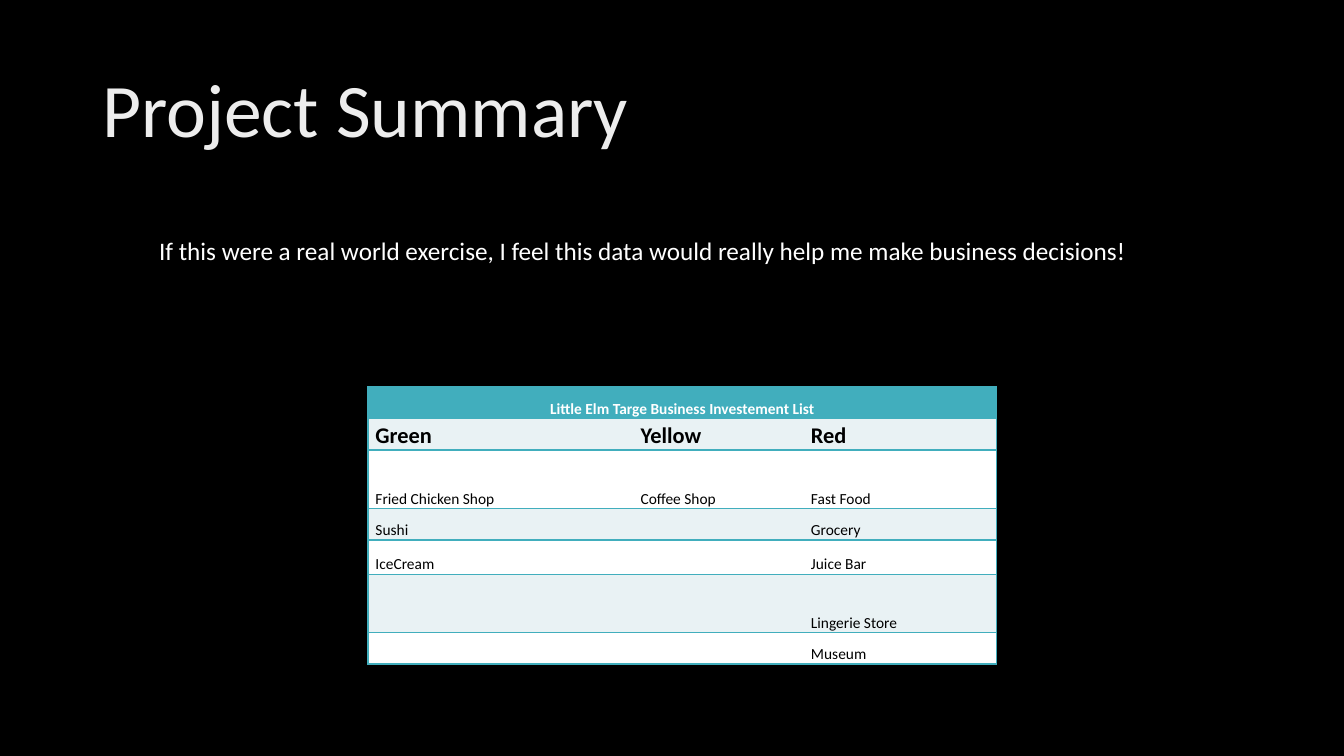
from lxml.etree import SubElement
from pptx import Presentation
from pptx.dml.color import RGBColor
from pptx.enum.text import MSO_ANCHOR, PP_ALIGN
from pptx.oxml.ns import qn
from pptx.util import Pt

BLACK = RGBColor(0x00, 0x00, 0x00)
WHITE = RGBColor(0xFF, 0xFF, 0xFF)
SILVER = RGBColor(0xED, 0xED, 0xED)
TEAL = RGBColor(0x41, 0xAE, 0xBD)
PALE = RGBColor(0xE9, 0xF2, 0xF4)

COLUMN_WIDTHS = (189.4, 121.7, 138.2)
ROW_HEIGHTS = (22.3, 22.7, 42, 22.3, 24.4, 42, 22.3)
ROWS = (
    ("Little Elm Targe Business Investement List", "", ""),
    ("Green", "Yellow", "Red"),
    ("Fried Chicken Shop", "Coffee Shop", "Fast Food"),
    ("Sushi", "", "Grocery"),
    ("IceCream", "", "Juice Bar"),
    ("", "", "Lingerie Store"),
    ("", "", "Museum"),
)


def write_text(frame, text, size, color, bold=False, align=PP_ALIGN.LEFT, spacing=1.0):
    para = frame.paragraphs[0]
    para.alignment = align
    para.line_spacing = spacing
    span = para.add_run()
    span.text = text
    span.font.name = "Calibri"
    span.font.size = Pt(size)
    span.font.bold = bold
    span.font.color.rgb = color


def add_text_box(page, text, left, top, width, height, wrap=True,
                 anchor=MSO_ANCHOR.TOP, **text_format):
    box = page.shapes.add_textbox(Pt(left), Pt(top), Pt(width), Pt(height))
    box.text_frame.word_wrap = wrap
    box.text_frame.vertical_anchor = anchor
    write_text(box.text_frame, text, **text_format)


def set_borders(cell, visible):
    """Draw the sides named in visible (of L, R, T, B) and clear the others."""
    properties = cell._tc.get_or_add_tcPr()
    for side in "LRTB":
        line = SubElement(properties, qn(f"a:ln{side}"), w=str(Pt(1)))
        if side in visible:
            fill = SubElement(line, qn("a:solidFill"))
            SubElement(fill, qn("a:srgbClr"), val=str(TEAL))
        else:
            SubElement(line, qn("a:noFill"))


def row_format(row):
    """Return the fill and the text format of a table row."""
    if row == 0:
        return TEAL, dict(size=11, color=WHITE, bold=True, align=PP_ALIGN.CENTER)
    fill = PALE if row % 2 else WHITE
    return fill, dict(size=16 if row == 1 else 11, color=BLACK, bold=row == 1)


def add_business_table(page, left, top):
    frame = page.shapes.add_table(len(ROWS), len(COLUMN_WIDTHS), Pt(left), Pt(top),
                                  Pt(sum(COLUMN_WIDTHS)), Pt(sum(ROW_HEIGHTS)))
    table = frame.table
    for column, width in zip(table.columns, COLUMN_WIDTHS):
        column.width = Pt(width)
    last = len(COLUMN_WIDTHS) - 1
    for row, (texts, height) in enumerate(zip(ROWS, ROW_HEIGHTS)):
        table.rows[row].height = Pt(height)
        fill, text_format = row_format(row)
        for column, text in enumerate(texts):
            cell = table.cell(row, column)
            cell.margin_left = cell.margin_right = Pt(5.4)
            cell.margin_top = cell.margin_bottom = 0
            cell.vertical_anchor = MSO_ANCHOR.BOTTOM
            sides = "TB" + "L" * (column == 0) + "R" * (column == last or row == 0)
            set_borders(cell, sides)
            cell.fill.solid()
            cell.fill.fore_color.rgb = fill
            if text:
                write_text(cell.text_frame, text, spacing=1.07, **text_format)
    # The heading spans the full width
    table.cell(0, 0).merge(table.cell(0, last))


def main():
    deck = Presentation()
    deck.slide_width, deck.slide_height = Pt(960), Pt(540)
    page = deck.slides.add_slide(deck.slide_layouts[6])
    page.background.fill.solid()
    page.background.fill.fore_color.rgb = BLACK

    # Title and statement
    add_text_box(page, "Project Summary", 66, 28.8, 828, 104.4,
                 anchor=MSO_ANCHOR.MIDDLE, size=54, color=SILVER, spacing=0.9)
    add_text_box(page, "If this were a real world exercise, I feel this data would "
                 "really help me make business decisions!",
                 106.6, 164.2, 709.9, 29, wrap=False, size=18, color=WHITE)

    # Investment list
    add_business_table(page, 262.8, 276.5)

    deck.save("out.pptx")


if __name__ == "__main__":
    main()
